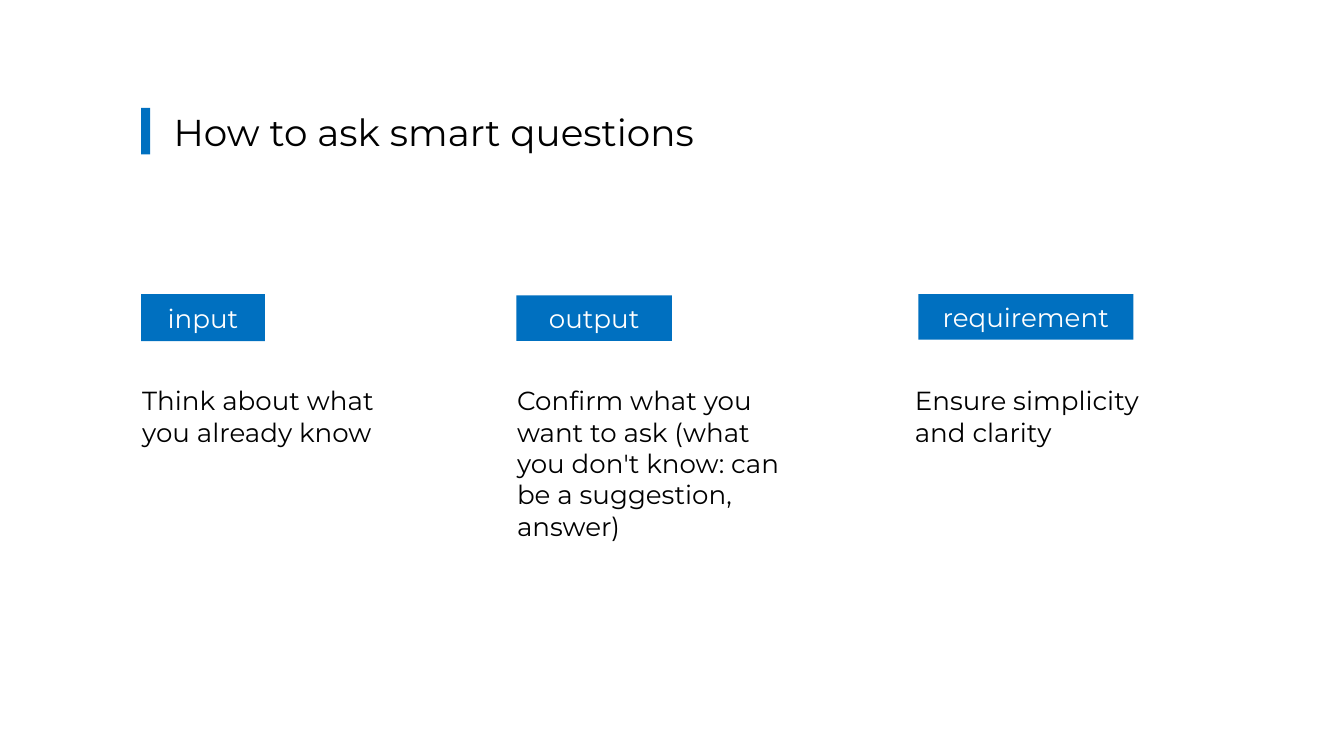
from pptx import Presentation
from pptx.dml.color import RGBColor
from pptx.enum.shapes import MSO_SHAPE
from pptx.enum.text import MSO_ANCHOR, PP_ALIGN
from pptx.util import Pt

BLUE, BLACK, WHITE = "0070C0", "000000", "FFFFFF"


def color(hex_code):
    return RGBColor.from_string(hex_code)


class SlideBuilder:
    font_name = "Montserrat"
    title_size = 20
    body_size = 14

    def __init__(self, slide):
        self.slide = slide

    def set_text(self, shape, text, size, hex_code, align, anchor):
        frame = shape.text_frame
        frame.text = text
        frame.word_wrap = True
        frame.vertical_anchor = anchor
        frame.margin_left = frame.margin_right = Pt(7.2)
        frame.margin_top = frame.margin_bottom = Pt(3.6)
        paragraph = frame.paragraphs[0]
        paragraph.alignment = align
        paragraph.font.name = self.font_name
        paragraph.font.size = Pt(size)
        paragraph.font.color.rgb = color(hex_code)

    def title(self, text, left, top, width, height):
        heading = self.slide.shapes.title
        heading.left, heading.top = Pt(left), Pt(top)
        heading.width, heading.height = Pt(width), Pt(height)
        self.set_text(heading, text, self.title_size, BLACK,
                      PP_ALIGN.LEFT, MSO_ANCHOR.MIDDLE)

    def bar(self, left, top, width, height):
        block = self.slide.shapes.add_shape(
            MSO_SHAPE.RECTANGLE, Pt(left), Pt(top), Pt(width), Pt(height))
        block.shadow.inherit = False
        block.fill.solid()
        block.fill.fore_color.rgb = color(BLUE)
        block.line.fill.background()
        return block

    def tag(self, text, left, top, width, height):
        self.set_text(self.bar(left, top, width, height), text, self.body_size,
                      WHITE, PP_ALIGN.CENTER, MSO_ANCHOR.MIDDLE)

    def body(self, text, left, top, width, height):
        box = self.slide.shapes.add_textbox(
            Pt(left), Pt(top), Pt(width), Pt(height))
        self.set_text(box, text, self.body_size, BLACK,
                      PP_ALIGN.LEFT, MSO_ANCHOR.TOP)


def main():
    deck = Presentation()
    deck.slide_width, deck.slide_height = Pt(720), Pt(405)
    builder = SlideBuilder(deck.slides.add_slide(deck.slide_layouts[5]))

    # Heading with its accent bar
    builder.title("How to ask smart questions", 85.8, 54.8, 465.8, 31.5)
    builder.bar(75.6, 57.8, 4.8, 25)

    # Three columns: tag, its left, top, width and height; advice, its left and height
    columns = [
        ("input", 75.6, 157.6, 66.4, 25.2,
         "Think about what you already know", 69.1, 41.2),
        ("output", 276.7, 158.3, 83.3, 24.4,
         "Confirm what you want to ask (what you don't know: can be a "
         "suggestion, answer)", 269.9, 92),
        ("requirement", 492, 157.6, 115.2, 24.4,
         "Ensure simplicity and clarity", 483, 41.2),
    ]
    for label, tag_left, tag_top, tag_width, tag_height, advice, left, height in columns:
        builder.tag(label, tag_left, tag_top, tag_width, tag_height)
        builder.body(advice, left, 202.5, 159.1, height)

    deck.save("out.pptx")


if __name__ == "__main__":
    main()
